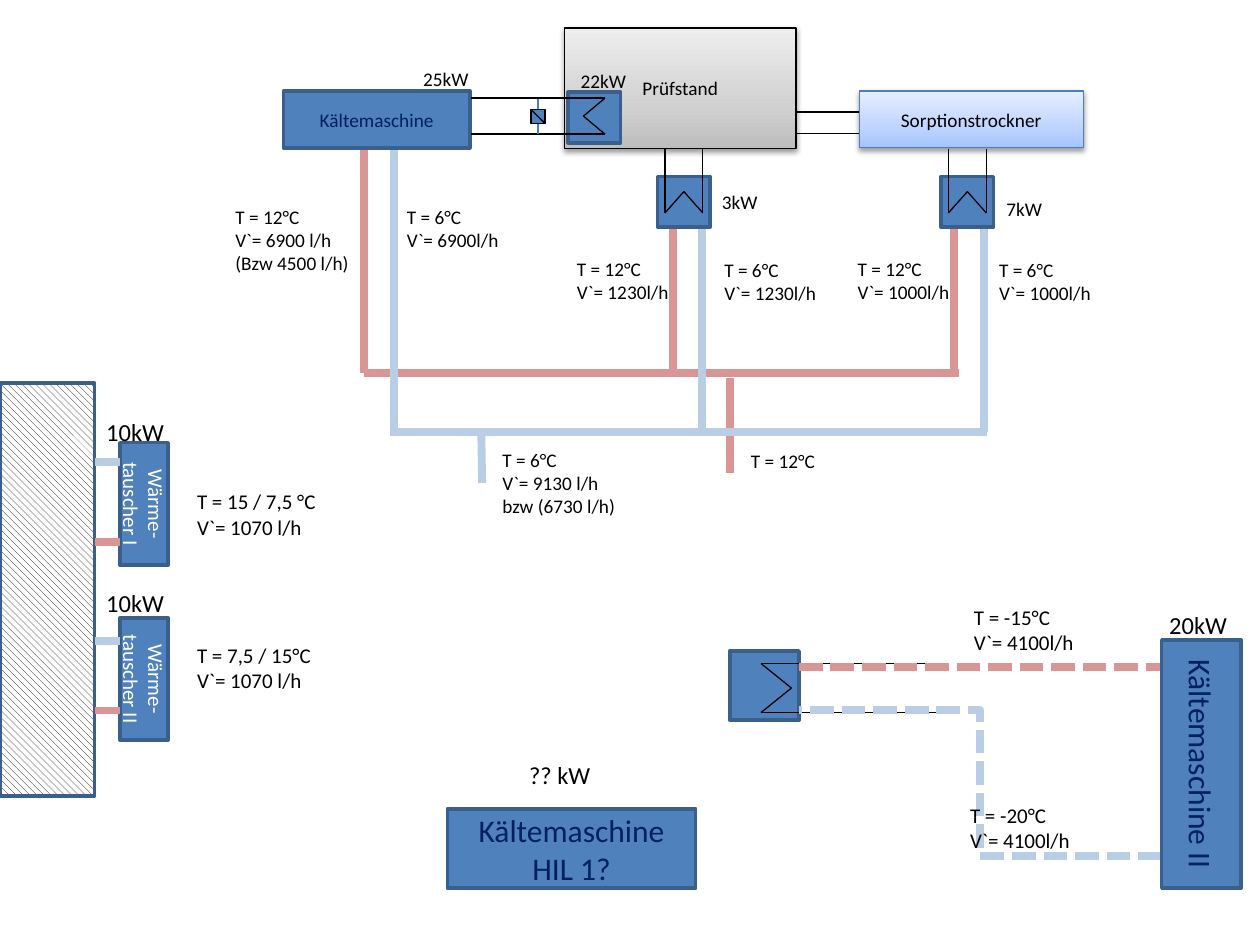
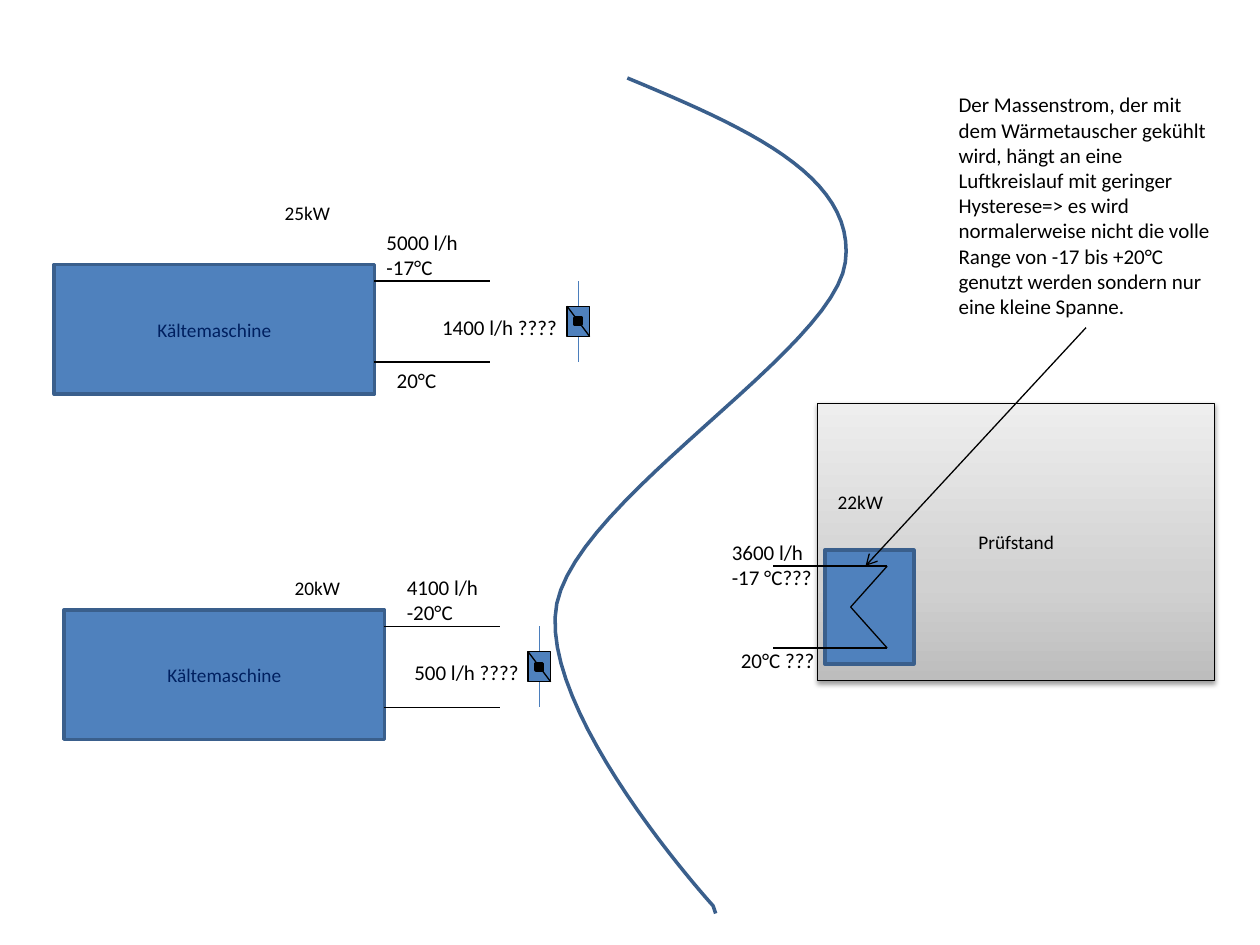
from copy import deepcopy
from lxml import etree
from pptx import Presentation
from pptx.dml.color import RGBColor
from pptx.enum.dml import MSO_LINE, MSO_PATTERN
from pptx.enum.shapes import MSO_CONNECTOR, MSO_SHAPE
from pptx.enum.text import MSO_ANCHOR, PP_ALIGN
from pptx.oxml.ns import qn
from pptx.util import Pt

RECT = MSO_SHAPE.RECTANGLE
STRAIGHT, ELBOW = MSO_CONNECTOR.STRAIGHT, MSO_CONNECTOR.ELBOW
DASH = MSO_LINE.SQUARE_DOT
HATCH = MSO_PATTERN.WIDE_DOWNWARD_DIAGONAL
MIDDLE, CENTER = MSO_ANCHOR.MIDDLE, PP_ALIGN.CENTER

FONT = "Calibri"
BLACK, WHITE, NAVY = "000000", "FFFFFF", "002060"
BLUE, EDGE, THIN = "4F81BD", "3A5F8C", "4B7EBC"
HOT, COLD = "D99694", "B9CDE5"
GREY = ("BDBDBD", "D1D1D1", "EEEEEE")
SKY = ("A4C4FF", "BFD4FF", "E6EEFF")


def rgb(code):
    return RGBColor.from_string(code)


def pen(line, color, width):
    line.color.rgb = rgb(color)
    line.width = Pt(width)


def write(frame, text, size, color, align=None):
    frame.word_wrap = True
    for n, row in enumerate(text.split("\n")):
        par = frame.add_paragraph() if n else frame.paragraphs[0]
        par.text = row
        par.font.size, par.font.name = Pt(size), FONT
        par.font.color.rgb = rgb(color)
        if align is not None:
            par.alignment = align


def shade(shape, tones):
    fill = shape.fill
    fill.gradient()
    fill.gradient_angle = 90
    first = shape._element.spPr.find(".//" + qn("a:gs"))
    first.addnext(deepcopy(first))
    for stop, place, tone in zip(fill.gradient_stops, (0, 0.35, 1), tones):
        stop.color.rgb = rgb(tone)
        stop.position = place


def cast(shape):
    effects = shape._element.spPr.find(qn("a:effectLst"))
    drop = etree.SubElement(effects, qn("a:outerShdw"), blurRad=str(Pt(3.1)),
                            dist=str(Pt(1.6)), dir="5400000", rotWithShape="0")
    tint = etree.SubElement(drop, qn("a:srgbClr"), val=BLACK)
    etree.SubElement(tint, qn("a:alpha"), val="38000")


class Pane:
    def __init__(self, slide, x, y):
        self.shapes, self.x, self.y = slide.shapes, x, y

    def at(self, x, y):
        return Pt(self.x + x), Pt(self.y + y)

    def rect(self, x, y, w, h, text="", size=11, ink=NAVY, fill=BLUE,
             edge=EDGE, width=2, turn=False):
        if turn:
            x, y, w, h = x + (w - h) / 2, y + (h - w) / 2, h, w
        shape = self.shapes.add_shape(RECT, *self.at(x, y), Pt(w), Pt(h))
        shape.shadow.inherit = False
        shape.rotation = 90 if turn else 0
        shape.fill.solid()
        shape.fill.fore_color.rgb = rgb(fill)
        pen(shape.line, edge, width)
        if text:
            shape.text_frame.vertical_anchor = MIDDLE
            write(shape.text_frame, text, size, ink, CENTER)
        return shape

    def block(self, x, y, w, h, text, tones, edge):
        shape = self.rect(x, y, w, h, text, ink=BLACK, edge=edge, width=0.75)
        shade(shape, tones)
        cast(shape)

    def note(self, x, y, text, size=11, w=84, rows=None):
        rows = rows or text.count("\n") + 1
        high = 7.2 + rows * size * 1.22
        box = self.shapes.add_textbox(*self.at(x, y), Pt(w), Pt(high))
        box.text_frame.margin_right = 0
        write(box.text_frame, text, size, BLACK)

    def line(self, a, b, color=BLACK, width=0.75, kind=STRAIGHT):
        wire = self.shapes.add_connector(kind, *self.at(*a), *self.at(*b))
        pen(wire.line, color, width)
        etree.SubElement(wire._element.spPr, qn("a:effectLst"))
        return wire

    def pipe(self, a, b, color, kind=STRAIGHT):
        return self.line(a, b, color, 4.5, kind)

    def coil(self, x, y, w, h, lead, deep=0.7, tip=0.29,
             span=(0.14, 0.86), down=False):
        self.rect(x, y, w, h)
        start, size = (y, h) if down else (x, w)
        base, wide = (x, w) if down else (y, h)
        near, far = (base + wide * part for part in span)
        leg, peak = start + size * deep, start + size * tip
        path = [(lead, near), (leg, near), (peak, (near + far) / 2),
                (leg, far), (lead, far)]
        if down:
            path = [(v, u) for u, v in path]
        for a, b in zip(path, path[1:]):
            self.line(a, b)

    def valve(self, x, y, w, h, stem, dot=False):
        mid = x + w / 2
        self.line((mid, y - stem), (mid, y + h + stem), THIN)
        self.rect(x, y, w, h, edge=BLACK, width=0.75)
        self.line((x, y), (x + w, y + h))
        if dot:
            self.rect(mid - 1.8, y + h / 2 - 1.8, 3.6, 3.6,
                      fill=BLACK, edge=BLACK)


def wall(slide, x, y):
    pane = Pane(slide, x, y)
    fill = pane.rect(0, 0, 54, 236).fill
    fill.patterned()
    fill.pattern = HATCH
    fill.fore_color.rgb, fill.back_color.rgb = rgb(BLACK), rgb(WHITE)
    tanks = [("I", 34, 11, 56.6, -18.3, 22.8, "T = 15 / 7,5 °C"),
             ("II", 134, 13.5, 53, -20.4, 10.6, "T = 7,5 / 15°C")]
    for name, top, cold, hot, power, info, temp in tanks:
        pane.rect(68.5, top, 27.5, 70, "Wärme-tauscher " + name, 12, WHITE,
                  turn=True)
        for gap, color in ((cold, COLD), (hot, HOT)):
            pane.pipe((68.5, top + gap), (54, top + gap), color)
        pane.note(53.6, top + power, "10kW", 14, 52)
        pane.note(105.5, top + info, temp + "\nV`= 1070 l/h", 12)


def plant(slide, x, y):
    pane = Pane(slide, x, y)
    hot, cold = 197, 231
    pane.pipe((255, 254), (255, 200), HOT)
    pane.pipe((386, hot), (46, hot), HOT)
    pane.pipe((61, cold), (402, cold), COLD)
    pane.pipe((113, 229), (113.5, 260), COLD)
    for warm, cool, top in ((46, 63.4, 69), (222.5, 239, 109),
                            (383, 400.3, 113.5)):
        pane.pipe((cool, top), (cool, cold), COLD)
        pane.pipe((warm, top), (warm, hot), HOT)
    pane.block(160.5, 0, 132.5, 69, "Prüfstand", GREY, BLACK)
    pane.rect(0, 36, 106.5, 32.5, "Kältemaschine")
    pane.block(329, 36, 128, 32.5, "Sorptionstrockner", SKY, THIN)
    for level in (48, 60.3):
        pane.line((293, level), (329, level))
    pane.coil(162.7, 36.6, 30, 29, 107, span=(0.12, 0.83))
    for left in (213.8, 375.8):
        pane.coil(left, 84.8, 30, 29, 69, 0.72, 0.3, down=True)
    pane.valve(141.5, 46.6, 8, 8, 6.2)
    notes = [(243.4, 89, "3kW"), (406, 93.4, "7kW"),
             (162.7, 20, "22kW"), (72.7, 18.6, "25kW"),
             (244.8, 128, "T = 6°C\nV`= 1230l/h"),
             (160.6, 127.3, "T = 12°C\nV`= 1230l/h"),
             (63.4, 97.8, "T = 6°C\nV`= 6900l/h"),
             (-34.6, 97.8, "T = 12°C\nV`= 6900 l/h\n(Bzw 4500 l/h)"),
             (401.8, 128, "T = 6°C\nV`= 1000l/h"),
             (321, 127.3, "T = 12°C\nV`= 1000l/h"),
             (118, 236.7, "T = 6°C\nV`= 9130 l/h\nbzw (6730 l/h)"),
             (260, 237.4, "T = 12°C")]
    for left, top, text in notes:
        pane.note(left, top, text, w=40 if "kW" in text else 84)


def freezer(slide, x, y):
    pane = Pane(slide, x, y)
    pane.coil(0, 30, 39.6, 39.6, 118.7, 0.45, 0.89, (0.18, 0.89))
    flow = pane.pipe((39.5, 39), (247, 39), HOT)
    back = pane.pipe((247, 147), (39.5, 64), COLD, ELBOW)
    for pipe in (flow, back):
        pipe.line.dash_style = DASH
    pane.rect(246.8, 23.8, 45.4, 141.8, "Kältemaschine II", 18, turn=True)
    pane.note(244, 3, "20kW", 14, 54)
    pane.note(130.2, 113, "T = -20°C\nV`= 4100l/h", 12)
    pane.note(132.4, 0, "T = -15°C\nV`= 4100l/h", 12)


def spare(slide, x, y):
    pane = Pane(slide, x, y)
    pane.rect(0, 31.2, 142, 45.4, "Kältemaschine HIL 1?", 18)
    pane.note(39.6, 0, "?? kW", 14, 54)


def chiller(slide, x, y, power, lift, flow, shift, bypass, left, valve):
    pane = Pane(slide, x, y)
    pane.rect(0, 0, 183, 74, "Kältemaschine")
    for level in (9.4, 55.7):
        pane.line((249, level), (183, level))
    pane.note(124.5, lift, power, w=70)
    pane.note(shift, -23.8, flow, 12, 72)
    pane.note(left, 25, bypass, 12, 90)
    pane.valve(valve, 23.8, 13, 17.3, 14.4, True)
    return pane


def stand(slide, x, y):
    pane = Pane(slide, x, y)
    pane.block(0, 0, 226.8, 158.4, "Prüfstand", GREY, BLACK)
    pane.coil(4, 84, 51, 65, -25.3)
    pane.note(4.3, 46, "22kW", w=70)
    pane.note(-56.2, 74.2, "3600 l/h\n-17 °C???", 12)
    pane.note(-51, 136, "20°C ???", 12, 78)
    pane.note(73.4, -181.4,
              "Der Massenstrom, der mit dem Wärmetauscher gekühlt wird, "
              "hängt an eine Luftkreislauf mit geringer Hysterese=> es wird "
              "normalerweise nicht die volle Range von -17 bis +20°C genutzt "
              "werden sondern nur eine kleine Spanne.", 12, 155, 9)
    arrow = pane.line((153.3, -43.2), (27.3, 93))
    etree.SubElement(arrow.line._get_or_add_ln(), qn("a:tailEnd"),
                     type="arrow")


def bend(a, b, c, d, steps=24):
    for n in range(1, steps + 1):
        t = n / steps
        u = 1 - t
        yield tuple(u**3 * i + 3 * u * u * t * j + 3 * u * t * t * k + t**3 * m
                    for i, j, k, m in zip(a, b, c, d))


def divide(slide, x, y):
    pane = Pane(slide, x, y)
    knots = [(41, 0), (106.5, 27.4), (172, 55.4), (165.6, 105.2),
             (159.1, 155.6), (13.7, 239), (0.7, 300.3),
             (-11.5, 361.5), (90, 473), (90, 473)]
    path = [spot for n in (0, 3, 6) for spot in bend(*knots[n:n + 4])]
    path.append((91.5, 477.4))
    form = slide.shapes.build_freeform(*pane.at(*knots[0]))
    form.add_line_segments([pane.at(*spot) for spot in path], close=False)
    curve = form.convert_to_shape()
    curve.shadow.inherit = False
    curve.fill.background()
    pen(curve.line, EDGE, 2)


deck = Presentation()
deck.slide_width, deck.slide_height = Pt(720), Pt(540)
blank = deck.slide_layouts[6]

page = deck.slides.add_slide(blank)
wall(page, 0, 219)
plant(page, 162, 16)
freezer(page, 417, 342)
spare(page, 255.6, 431)

page = deck.slides.add_slide(blank)
stand(page, 467.3, 230.4)
first = chiller(page, 31, 151.2, "25kW", -39.6, "5000 l/h\n-17°C", 182.8,
                "1400 l/h ????", 214.5, 293)
first.note(188.6, 55.4, "20°C", 12, 78)
divide(page, 317.5, 44.6)
chiller(page, 36.7, 348.5, "20kW", -22.5, "4100 l/h\n-20°C", 188.7,
        "500 l/h ????", 193, 265)
deck.save("out.pptx")
